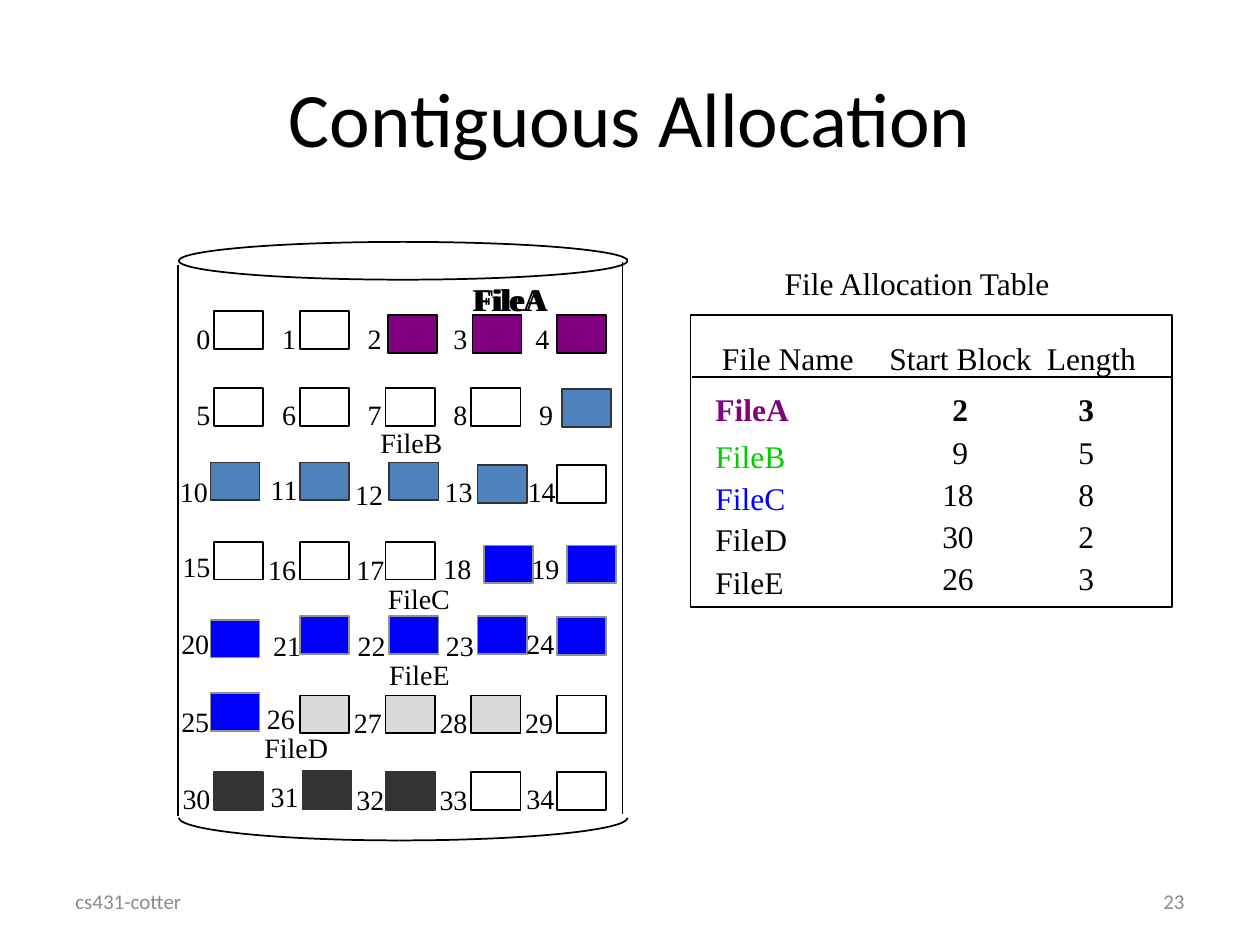
import math

import pptx
import pptx.dml.color
import pptx.enum.shapes
import pptx.enum.text
import pptx.oxml.ns
import pptx.util
from lxml import etree
from pptx.util import Inches

SERIF, SANS = "Times New Roman", "Calibri"
BLACK, GREY = "000000", "8C8C8C"
ALIGN = pptx.enum.text.PP_ALIGN
ANCHOR = pptx.enum.text.MSO_ANCHOR
RECTANGLE = pptx.enum.shapes.MSO_SHAPE.RECTANGLE

# Disk rows: block lefts, block tops, number lefts, number tops
DISK_ROWS = [
    ([1.7, 2.38, 3.08, 3.75, 4.42], [2.47, 2.47, 2.5, 2.5, 2.5],
     [1.46, 2.14, 2.82, 3.5, 4.15], [2.5] * 5),
    ([1.7, 2.38, 3.06, 3.74, 4.46], [3.08, 3.08, 3.08, 3.08, 3.09],
     [1.46, 2.14, 2.82, 3.5, 4.18], [3.11] * 5),
    ([1.67, 2.38, 3.09, 3.79, 4.42], [3.67, 3.67, 3.67, 3.69, 3.69],
     [1.33, 2.05, 2.72, 3.43, 4.09], [3.72, 3.7, 3.74, 3.72, 3.72]),
    ([1.7, 2.38, 3.06, 3.84, 4.5], [4.3, 4.3, 4.3, 4.33, 4.33],
     [1.35, 2.03, 2.73, 3.42, 4.12], [4.31, 4.34, 4.34, 4.33, 4.33]),
    ([1.67, 2.38, 3.09, 3.79, 4.42], [4.92, 4.89, 4.89, 4.89, 4.9],
     [1.34, 2.07, 2.74, 3.44, 4.08], [4.92, 4.94, 4.94, 4.94, 4.92]),
    ([1.67, 2.38, 3.06, 3.74, 4.42], [5.5, 5.52, 5.52, 5.52, 5.52],
     [1.34, 2.02, 2.71, 3.39, 4.07], [5.54, 5.52, 5.55, 5.55, 5.55]),
    ([1.7, 2.4, 3.06, 3.74, 4.42], [6.13, 6.12, 6.13, 6.13, 6.13],
     [1.35, 2.05, 2.73, 3.39, 4.08], [6.15, 6.14, 6.16, 6.16, 6.15]),
]
BLOCK_SIZE = (0.39, 0.3)

# Coloured blocks: numbers, fill, outline
COLOURED_RUNS = [
    (range(2, 5), "800080", BLACK),
    (range(9, 14), "4F81BD", "333333"),
    (range(18, 26), "0000FF", "919191"),
    (range(26, 29), "DADADA", BLACK),
    (range(30, 33), "333333", "333333"),
]

# Names beside the blocks: text, left, top
DISK_LABELS = [("FileB", 2.92, 3.33), ("FileC", 2.98, 4.57),
               ("FileE", 2.99, 5.17), ("FileD", 2, 5.75)]

HEADINGS = [("File Allocation Table", 6.13, 2.05, 2.34), ("File Name", 5.63, 2.64, 1.25),
            ("Start Block", 6.96, 2.64, 1.33), ("Length", 8.21, 2.64, 0.91)]

# Allocation table: name, colour, name top, start block, length
FILES = [
    ("FileA", "800080", 3.05, "2", "3"),
    ("FileB", "00CC00", 3.42, "9", "5"),
    ("FileC", "0000FF", 3.75, "18", "8"),
    ("FileD", BLACK, 4.08, "30", "2"),
    ("FileE", BLACK, 4.42, "26", "3"),
]
FIRST_VALUE_TOP, VALUE_STEP = 3.05, 0.335
# Value boxes by number of digits: left, width
START_BOXES = {1: (7.46, 0.32), 2: (7.38, 0.45)}
LENGTH_BOXES = {1: (8.46, 0.32)}

prs = pptx.Presentation()
prs.slide_width, prs.slide_height = Inches(10), Inches(7.5)
slide = prs.slides.add_slide(prs.slide_layouts[6])
shapes = slide.shapes


def rgb(colour):
    return pptx.dml.color.RGBColor.from_string(colour)


def add_text(text, left, top, width, height, *, size=16, font=SERIF, colour=BLACK,
             bold=False, align=ALIGN.LEFT, anchor=ANCHOR.TOP, wrap=False):
    box = shapes.add_textbox(*map(Inches, (left, top, width, height)))
    frame = box.text_frame
    frame.word_wrap = wrap
    if not wrap:
        frame.auto_size = pptx.enum.text.MSO_AUTO_SIZE.SHAPE_TO_FIT_TEXT
    frame.vertical_anchor = anchor
    paragraph = frame.paragraphs[0]
    paragraph.alignment = align
    run = paragraph.add_run()
    run.text = text
    run.font.size, run.font.name, run.font.bold = pptx.util.Pt(size), font, bold
    run.font.color.rgb = rgb(colour)


def paint(shape, fill=None, outline=BLACK):
    shape.shadow.inherit = False
    if fill:
        shape.fill.solid()
        shape.fill.fore_color.rgb = rgb(fill)
    else:
        shape.fill.background()
    shape.line.color.rgb = rgb(outline)
    shape.line.width = pptx.util.Pt(1)


def add_outline(kind, left, top, width, height, fill=None, outline=BLACK):
    paint(shapes.add_shape(kind, *map(Inches, (left, top, width, height))), fill, outline)


def add_line(x1, y1, x2, y2):
    line = shapes.add_connector(pptx.enum.shapes.MSO_CONNECTOR.STRAIGHT,
                                *map(Inches, (x1, y1, x2, y2)))
    line.line.color.rgb = rgb(BLACK)
    line.line.width = pptx.util.Pt(1)
    etree.SubElement(line.element.spPr, pptx.oxml.ns.qn("a:effectLst"))


def add_quarter_arc(centre_x, top, radius_x, radius_y, steps=30):
    """Draw the lower quarter of an ellipse; a negative radius_x goes left."""
    angles = [math.pi / 2 * i / steps for i in range(steps + 1)]
    points = [(Inches(centre_x + radius_x * math.cos(a)),
               Inches(top + radius_y * math.sin(a))) for a in angles]
    builder = shapes.build_freeform(*points[0])
    builder.add_line_segments(points[1:], close=False)
    paint(builder.convert_to_shape())


# Title and footer
add_text("cs431-cotter", 0.5, 6.95, 2.33, 0.4, size=12, font=SANS, colour=GREY,
         anchor=ANCHOR.MIDDLE, wrap=True)
add_text("23", 7.17, 6.95, 2.33, 0.4, size=12, font=SANS, colour=GREY,
         align=ALIGN.RIGHT, anchor=ANCHOR.MIDDLE, wrap=True)
add_text("Contiguous Allocation", 0.5, 0.3, 9, 1.25, size=44, font=SANS,
         align=ALIGN.CENTER, anchor=ANCHOR.MIDDLE, wrap=True)

# Disk cylinder
add_outline(pptx.enum.shapes.MSO_SHAPE.OVAL, 1.42, 1.92, 3.56, 0.3)
add_quarter_arc(3.17, 6.49, 1.81, 0.18)
add_quarter_arc(3.17, 6.49, -1.75, 0.18)
add_line(1.41, 2.1, 1.41, 6.48)
add_line(4.94, 2.08, 4.94, 6.46)

# Disk blocks, then their numbers on top
block_colours = {number: (fill, outline)
                 for numbers, fill, outline in COLOURED_RUNS for number in numbers}
for row, (lefts, tops, _, _) in enumerate(DISK_ROWS):
    for column, corner in enumerate(zip(lefts, tops)):
        colours = block_colours.get(row * 5 + column, (None, BLACK))
        add_outline(RECTANGLE, *corner, *BLOCK_SIZE, *colours)
for row, (_, _, lefts, tops) in enumerate(DISK_ROWS):
    for column, corner in enumerate(zip(lefts, tops)):
        number = row * 5 + column
        add_text(str(number), *corner, 0.31 if number < 10 else 0.42, 0.36)

for name, left, top in DISK_LABELS:
    add_text(name, left, top, 0.72, 0.36)
for left in (3.65, 3.67):
    add_text("FileA", left, 2.17, 0.78, 0.4, size=18, bold=True)

# File allocation table
add_outline(RECTANGLE, 5.48, 2.5, 3.82, 2.32)
add_line(5.49, 2.99, 9.3, 2.99)
for heading, left, top, width in HEADINGS:
    add_text(heading, left, top, width, 0.4, size=18)
for row, (name, colour, name_top, start, length) in enumerate(FILES):
    bold = row == 0
    add_text(name, 5.58, name_top, 0.8, 0.4, size=18, colour=colour, bold=bold)
    value_top = FIRST_VALUE_TOP + row * VALUE_STEP
    for value, boxes in ((start, START_BOXES), (length, LENGTH_BOXES)):
        left, width = boxes[len(value)]
        add_text(value, left, value_top, width, 0.4, size=18, bold=bold)

prs.save("out.pptx")
